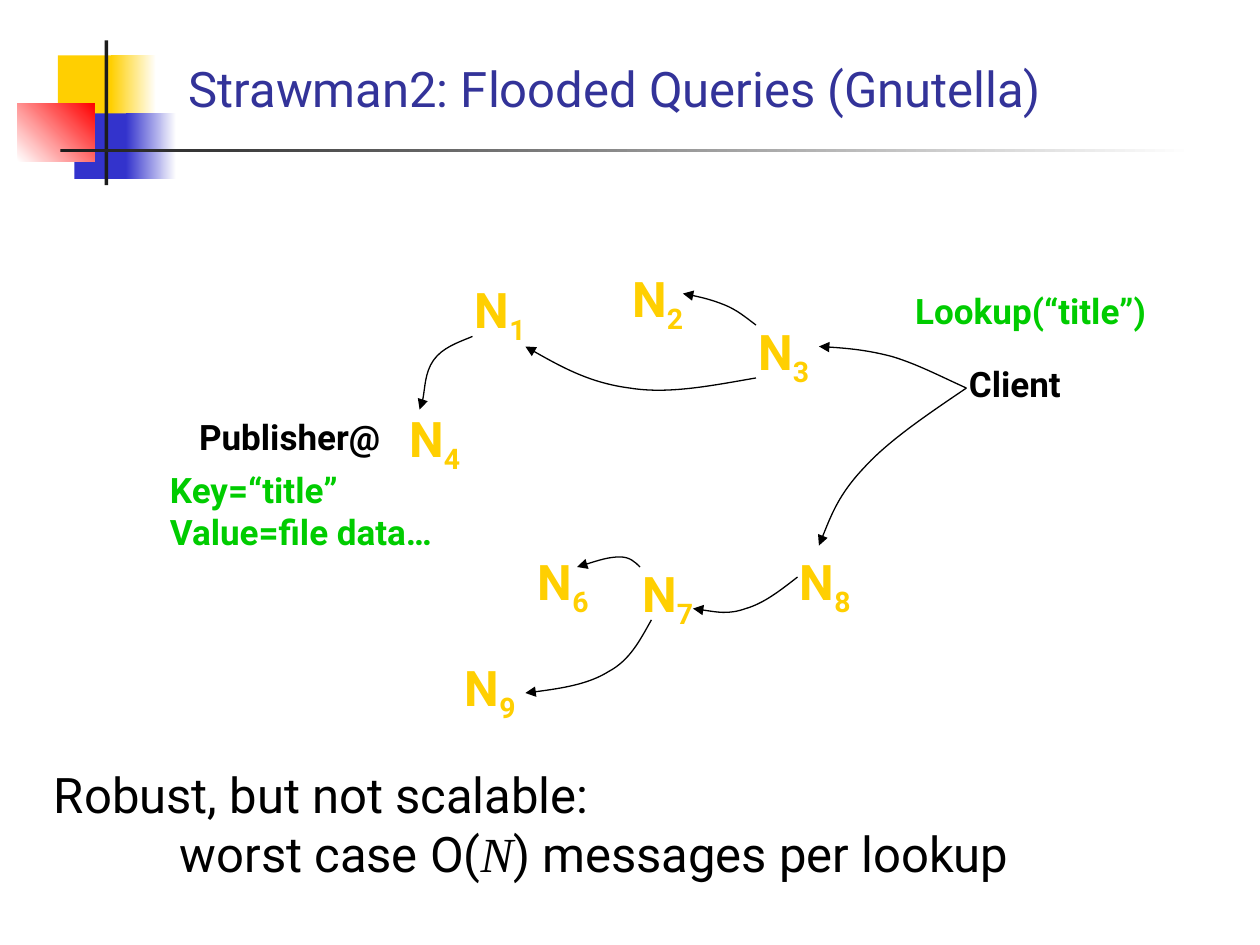
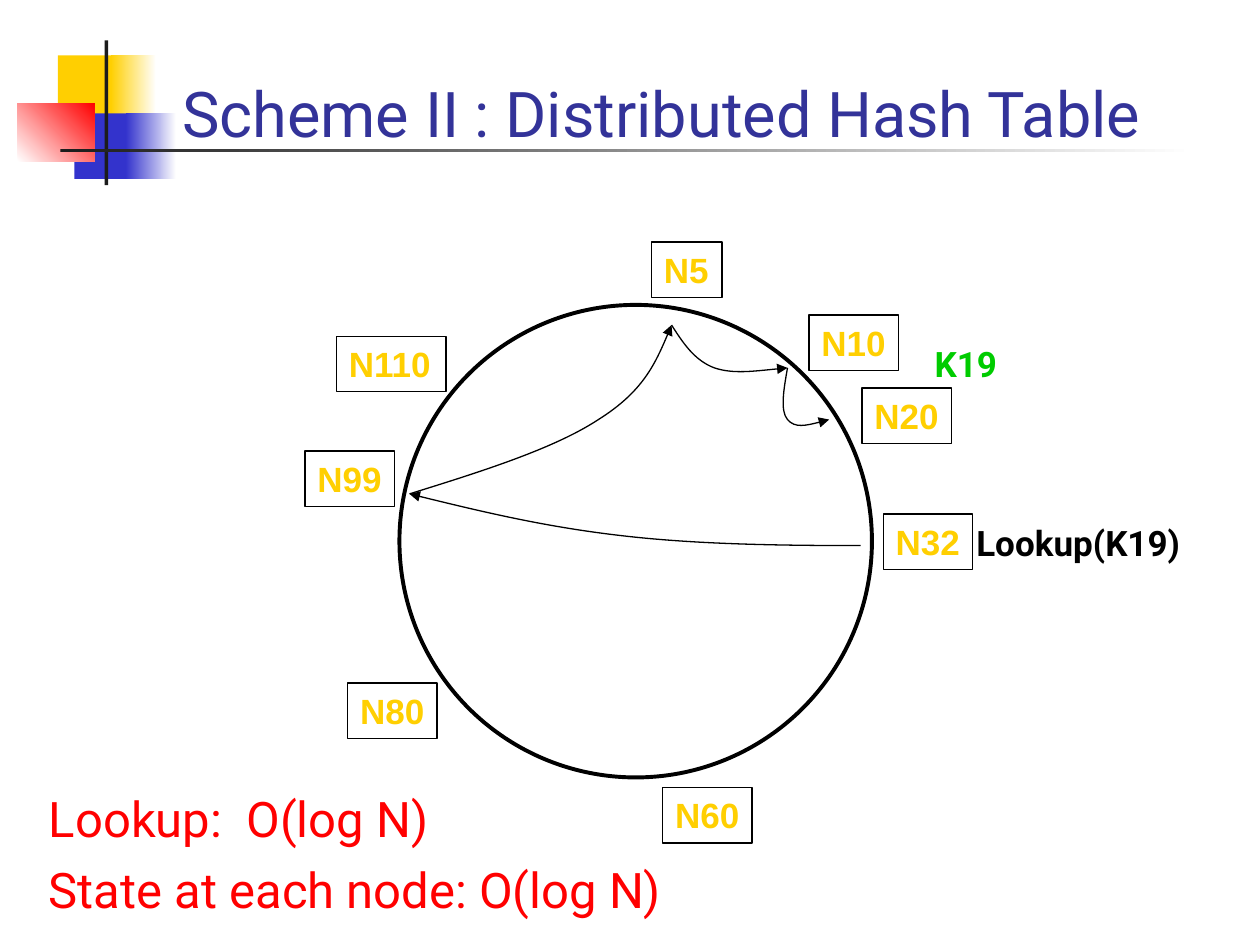
from lxml import etree
from pptx import Presentation
from pptx.dml.color import RGBColor
from pptx.enum.shapes import MSO_SHAPE as SHAPE
from pptx.enum.text import MSO_ANCHOR as ANCHOR, MSO_AUTO_SIZE as AUTO, PP_ALIGN as ALIGN
from pptx.oxml.ns import qn
from pptx.util import Inches, Pt

YELLOW = RGBColor(0xFF, 0xCF, 0x01)
BLUE = RGBColor(0x33, 0x33, 0xCC)
RED = RGBColor(0xFF, 0x00, 0x00)
GREEN = RGBColor(0x00, 0xCC, 0x00)
TITLE = RGBColor(0x33, 0x33, 0x99)
DARK = RGBColor(0x1C, 0x1C, 0x1C)
BLACK = RGBColor(0x00, 0x00, 0x00)
WHITE = RGBColor(0xFF, 0xFF, 0xFF)


def write(sp, text, size, color, bold=False, font="Roboto", align=ALIGN.LEFT,
          wrap=False, anchor=ANCHOR.TOP):
    tf = sp.text_frame
    tf.text = text
    tf.word_wrap = wrap
    tf.auto_size = AUTO.NONE if wrap else AUTO.SHAPE_TO_FIT_TEXT
    tf.vertical_anchor = anchor
    for p in tf.paragraphs:
        p.alignment = align
        for r in p.runs:
            r.font.name = font
            r.font.size = Pt(size)
            r.font.bold = bold
            r.font.color.rgb = color
    return tf


def add_arrow(s, points):
    start, *rest = [(Inches(x), Inches(y)) for x, y in points]
    fb = s.shapes.build_freeform(*start)
    fb.add_line_segments(rest, close=False)
    sp = fb.convert_to_shape()
    outline = next(sp._element.iter(qn("a:path")))
    segments = outline.findall(qn("a:lnTo"))
    for i in range(0, len(segments), 3):
        curve = etree.SubElement(outline, qn("a:cubicBezTo"))
        for segment in segments[i:i + 3]:
            curve.append(segment[0])
            outline.remove(segment)
    sp.shadow.inherit = False
    sp.fill.background()
    sp.line.color.rgb = BLACK
    sp.line.width = Pt(0.75)
    etree.SubElement(sp.line._get_or_add_ln(), qn("a:tailEnd"), type="triangle")


prs = Presentation()
prs.slide_width = Inches(10)
prs.slide_height = Inches(7.5)

decorations = [
    ((0.46, 0.44, 0.48, 0.52), YELLOW, YELLOW, 0),
    ((0.88, 0.44, 0.36, 0.52), YELLOW, WHITE, 0),
    ((0.59, 0.9, 0.46, 0.52), BLUE, BLUE, 0),
    ((1, 0.9, 0.4, 0.52), BLUE, WHITE, 0),
    ((0.14, 0.82, 0.61, 0.46), WHITE, RED, 45),
    ((0.83, 0.32, 0.03, 1.15), DARK, DARK, 0),
    ((0.48, 1.18, 9, 0.03), DARK, WHITE, 0),
]
titles = [
    ("Strawman2: Flooded Queries (Gnutella)", 28, (1.4, 0.27, 8.5, 0.71)),
    ("Scheme II : Distributed Hash Table", 36, (1.35, 0.31, 8.14, 0.93)),
]
slides = []
for title, size, title_box in titles:
    s = prs.slides.add_slide(prs.slide_layouts[6])
    slides.append(s)
    for box, start, end, angle in decorations:
        sp = s.shapes.add_shape(SHAPE.RECTANGLE, *map(Inches, box))
        sp.shadow.inherit = False
        sp.line.fill.background()
        if start == end:
            sp.fill.solid()
            sp.fill.fore_color.rgb = start
        else:
            sp.fill.gradient()
            sp.fill.gradient_angle = angle
            for stop, color in zip(sp.fill.gradient_stops, (start, end)):
                stop.color.rgb = color
    tb = s.shapes.add_textbox(*map(Inches, title_box))
    write(tb, title, size, TITLE, wrap=True, anchor=ANCHOR.BOTTOM)

flooding, ring = slides

peers = {
    "4": (3.13, 3.19), "6": (4.15, 4.33), "9": (3.57, 5.17), "7": (4.98, 4.42),
    "8": (6.23, 4.33), "3": (5.9, 2.5), "2": (4.9, 2.08), "1": (3.65, 2.17),
}
for number, (x, y) in peers.items():
    tb = flooding.shapes.add_textbox(Inches(x), Inches(y), Inches(0.64), Inches(0.63))
    tf = write(tb, "N", 28, YELLOW, bold=True, align=ALIGN.CENTER)
    r = tf.paragraphs[0].add_run()
    r.text = number
    r.font.name = "Roboto"
    r.font.size = Pt(28)
    r.font.bold = True
    r.font.color.rgb = YELLOW
    r.font._element.set("baseline", "-25000")

query_arrows = [
    [(7.67, 3.08), (7.47, 2.99), (7.28, 2.89), (7.08, 2.83), (6.89, 2.78), (6.69, 2.76), (6.5, 2.75)],
    [(7.67, 3.08), (7.36, 3.29), (7.05, 3.5), (6.86, 3.71), (6.66, 3.92), (6.58, 4.13), (6.5, 4.33)],
    [(6, 2.58), (5.92, 2.52), (5.85, 2.46), (5.75, 2.42), (5.65, 2.38), (5.53, 2.35), (5.42, 2.33)],
    [(6, 3), (5.65, 3.06), (5.31, 3.13), (5, 3.08), (4.69, 3.04), (4.43, 2.9), (4.17, 2.75)],
    [(6.33, 4.58), (6.19, 4.69), (6.06, 4.79), (5.92, 4.83), (5.78, 4.88), (5.64, 4.85), (5.5, 4.83)],
    [(5.17, 4.92), (5.08, 5.08), (5, 5.24), (4.83, 5.33), (4.67, 5.43), (4.42, 5.47), (4.17, 5.5)],
    [(5.08, 4.5), (5.04, 4.46), (5, 4.42), (4.92, 4.42), (4.83, 4.42), (4.71, 4.46), (4.58, 4.5)],
    [(3.75, 2.67), (3.63, 2.72), (3.51, 2.76), (3.44, 2.86), (3.37, 2.96), (3.37, 3.19), (3.33, 3.25)],
]
for points in query_arrows:
    add_arrow(flooding, points)

labels = [
    (flooding, "Publisher@", (1.42, 3.25, 1.76, 0.44), BLACK, ALIGN.CENTER),
    (flooding, "Client", (7.55, 2.83, 1.01, 0.44), BLACK, ALIGN.CENTER),
    (flooding, "Key=“title”\nValue=file data…", (1.25, 3.67, 2.52, 0.77), GREEN, ALIGN.LEFT),
    (flooding, "Lookup(“title”)", (7.06, 2.25, 2.24, 0.44), GREEN, ALIGN.CENTER),
    (ring, "Lookup(K19)", (7.65, 4.09, 1.92, 0.44), BLACK, ALIGN.LEFT),
    (ring, "K19", (7.32, 2.67, 0.7, 0.44), GREEN, ALIGN.LEFT),
]
for s, text, box, color, align in labels:
    tb = s.shapes.add_textbox(*map(Inches, box))
    write(tb, text, 20, color, bold=True, align=align)

tb = flooding.shapes.add_textbox(Inches(0.33), Inches(6.02), Inches(8.02), Inches(1.04))
tf = write(tb, "Robust, but not scalable:\nworst case O(", 28, BLACK)
p = tf.paragraphs[1]
p._p.get_or_add_pPr().set("marL", str(Inches(1)))
for text, font, italic in (("N", "Times New Roman", True), (") messages per lookup", "Roboto", False)):
    r = p.add_run()
    r.text = text
    r.font.name = font
    r.font.size = Pt(28)
    r.font.italic = italic
    r.font.color.rgb = BLACK

circle = ring.shapes.add_shape(SHAPE.OVAL, Inches(3.17), Inches(2.42), Inches(3.75), Inches(3.75))
circle.shadow.inherit = False
circle.fill.background()
circle.line.color.rgb = BLACK
circle.line.width = Pt(2.25)

ring_nodes = {
    "N32": (7.01, 4.08), "N10": (6.42, 2.5), "N5": (5.17, 1.92), "N20": (6.84, 3.08),
    "N110": (2.67, 2.67), "N99": (2.42, 3.58), "N80": (2.76, 5.42), "N60": (5.26, 6.25),
}
node_widths = {2: 0.56, 3: 0.71, 4: 0.87}
for name, (x, y) in ring_nodes.items():
    width = node_widths[len(name)]
    tb = ring.shapes.add_textbox(Inches(x), Inches(y), Inches(width), Inches(0.44))
    tb.line.color.rgb = BLACK
    tb.line.width = Pt(0.75)
    write(tb, name, 20, YELLOW, bold=True, font="Arial")

lookup_hops = [
    [(6.83, 4.33), (6.17, 4.33), (5.51, 4.32), (4.92, 4.25), (4.32, 4.18), (3.78, 4.05), (3.25, 3.92)],
    [(3.25, 3.92), (3.83, 3.74), (4.4, 3.56), (4.75, 3.33), (5.1, 3.11), (5.22, 2.85), (5.33, 2.58)],
    [(5.33, 2.58), (5.42, 2.72), (5.51, 2.86), (5.67, 2.92), (5.82, 2.97), (6.03, 2.94), (6.25, 2.92)],
    [(6.25, 2.92), (6.22, 3.09), (6.19, 3.26), (6.25, 3.33), (6.31, 3.4), (6.44, 3.37), (6.58, 3.33)],
]
for points in lookup_hops:
    add_arrow(ring, points)

tb = ring.shapes.add_textbox(Inches(0.29), Inches(6.21), Inches(6.36), Inches(1.48))
tf = write(tb, "Lookup:  O(log N)\nState at each node: O(log N)", 28, RED, wrap=True)
tf.paragraphs[1].space_before = Pt(7)

prs.save("out.pptx")
